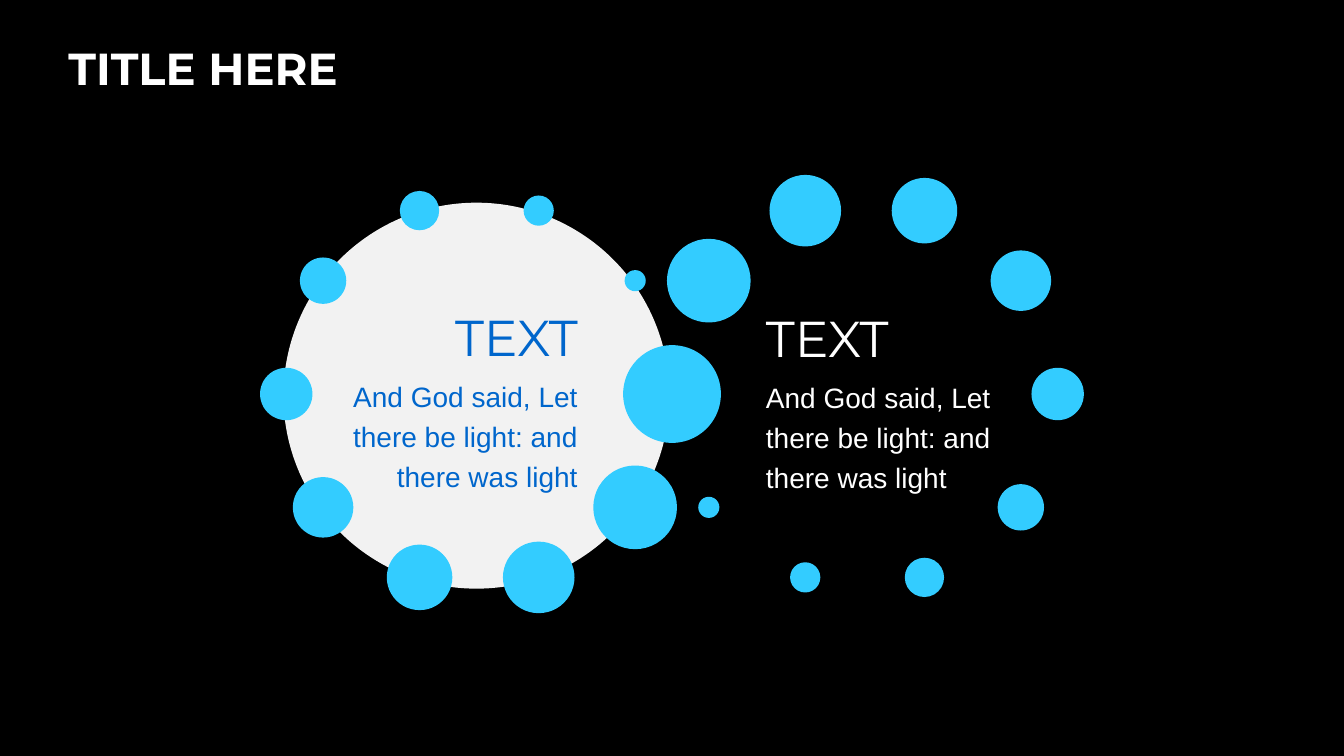
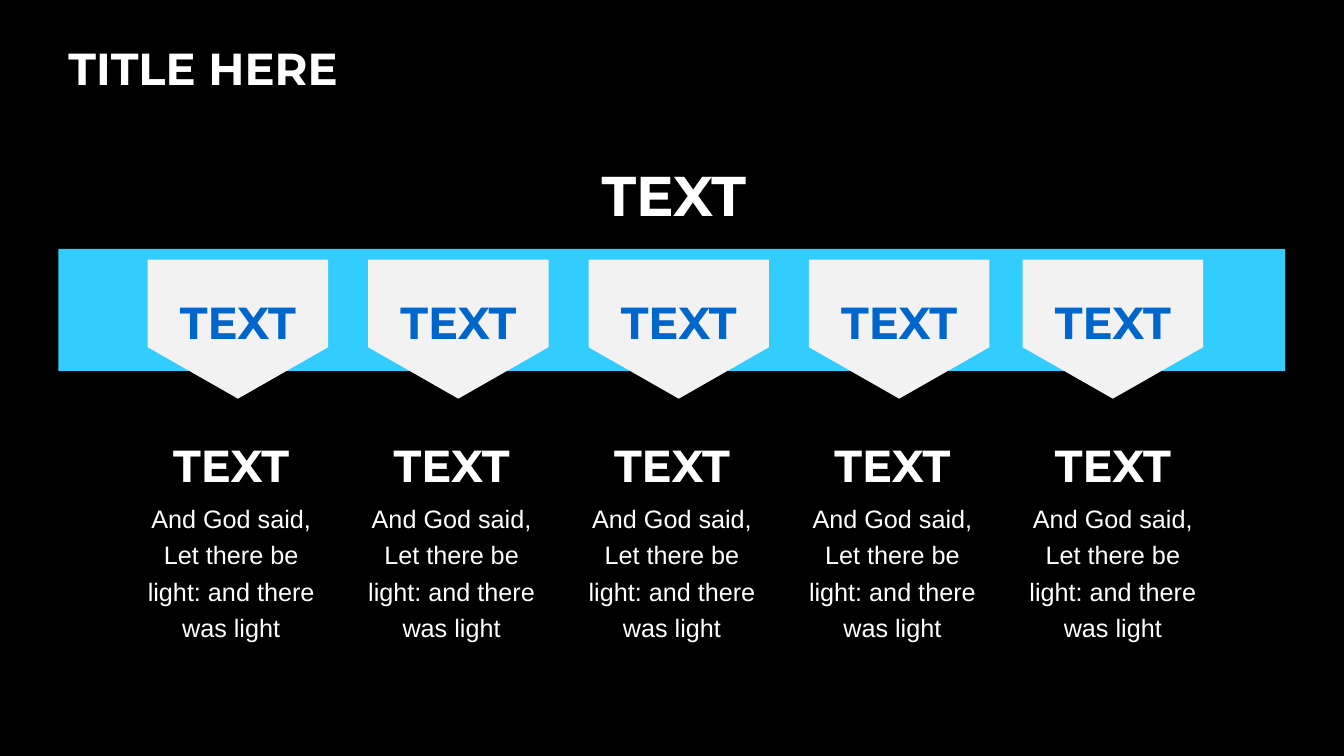
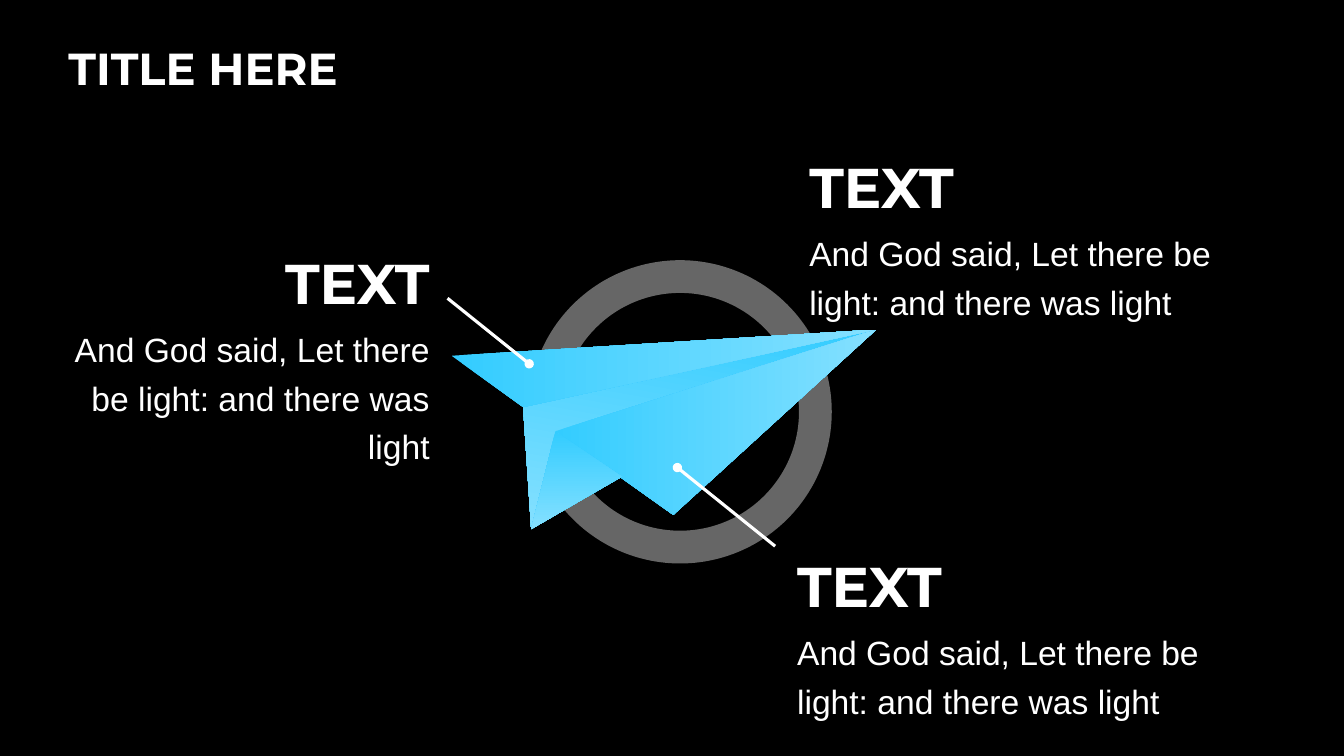
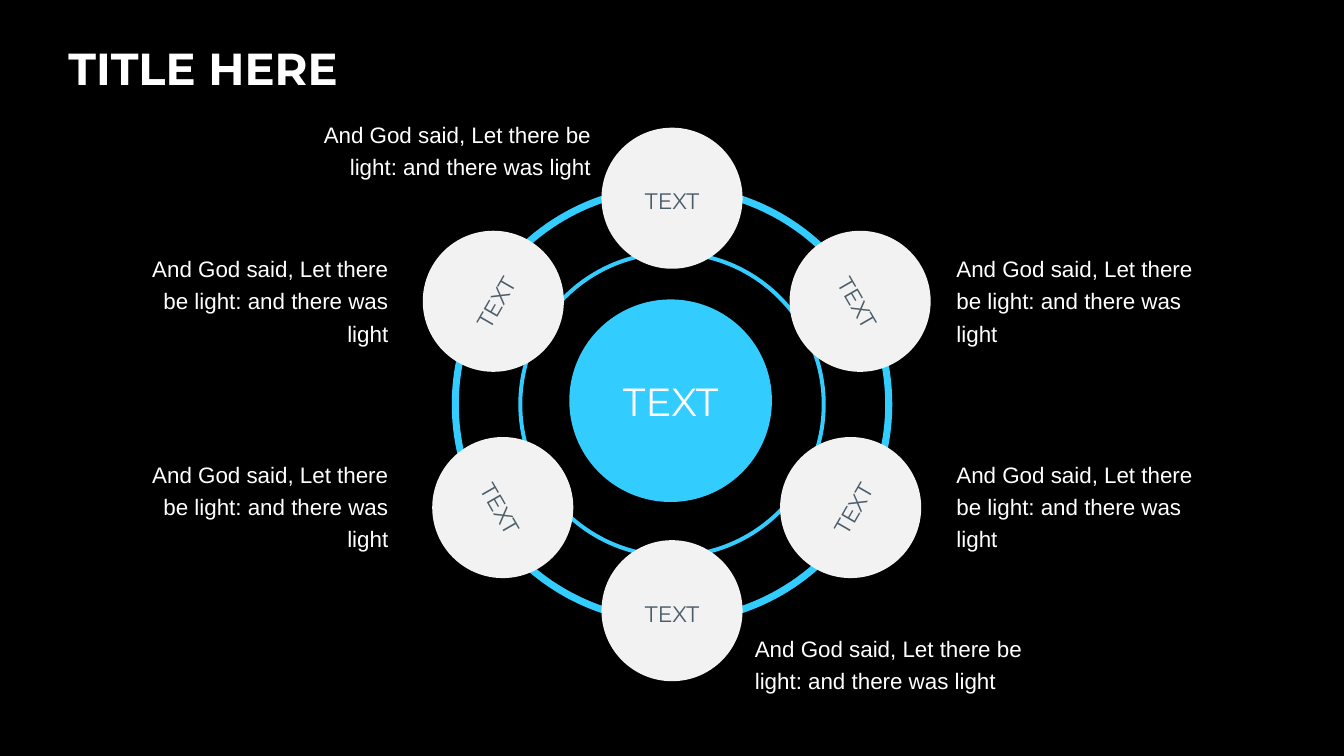
import math

import lxml.etree
import pptx
import pptx.dml.color
import pptx.enum.shapes
import pptx.enum.text
import pptx.oxml.ns
import pptx.util

SHAPE = pptx.enum.shapes.MSO_SHAPE
ALIGN = pptx.enum.text.PP_ALIGN
ANCHOR = pptx.enum.text.MSO_ANCHOR
AUTO_SIZE = pptx.enum.text.MSO_AUTO_SIZE

SLIDE_WIDTH = pptx.util.Inches(13.33)
SLIDE_HEIGHT = pptx.util.Inches(7.5)
COLUMNS = 40
CELL = SLIDE_WIDTH / COLUMNS
MIDDLE = COLUMNS / 2

BLACK, WHITE, PALE = "000000", "FFFFFF", "F2F2F2"
SKY, LIGHT_SKY, BLUE = "33CCFF", "85E0FF", "0066CC"
GRAY, SLATE = "666666", "4A5D69"

LABEL = "TEXT"
VERSE = "And God said, Let there be light: and there was light"


def color(value):
    """Turn a hex string into a colour."""
    return pptx.dml.color.RGBColor.from_string(value)


def cells(*lengths):
    """Turn grid lengths into slide units."""
    return [round(length * CELL) for length in lengths]


def style(size, tint=WHITE, bold=False, name="Montserrat"):
    """Describe the font of one paragraph."""
    return {"size": pptx.util.Pt(size), "name": name, "bold": bold, "color": tint}


def verse_style(size, tint=WHITE):
    """Describe the font of running text."""
    return style(size, tint, name="Arial")


def set_all(target, values):
    """Set every attribute listed in a dict."""
    for name, value in values.items():
        setattr(target, name, value)


def write(text_frame, lines, alignment=ALIGN.LEFT, spacing=1.2, **frame_format):
    """Fill a text frame with (text, style) paragraphs."""
    set_all(text_frame, {"word_wrap": True, **frame_format})
    for index, (text, font_format) in enumerate(lines):
        paragraph = text_frame.add_paragraph() if index else text_frame.paragraphs[0]
        set_all(paragraph, {
            "text": text,
            "alignment": alignment,
            "line_spacing": spacing,
            "space_before": pptx.util.Pt(2 if index else 0),
            "space_after": pptx.util.Pt(2),
        })
        font_values = dict(font_format)
        paragraph.font.color.rgb = color(font_values.pop("color"))
        set_all(paragraph.font, font_values)


def add_text(slide, box, lines, alignment=ALIGN.LEFT, **frame_format):
    """Add a text box that grows with its text."""
    text_box = slide.shapes.add_textbox(*cells(*box))
    frame_format = {"auto_size": AUTO_SIZE.SHAPE_TO_FIT_TEXT, **frame_format}
    write(text_box.text_frame, lines, alignment, **frame_format)


def add_shape(slide, kind, box, fill, adjustment=None, rotation=0):
    """Add a flat preset shape without outline."""
    shape = slide.shapes.add_shape(kind, *cells(*box))
    shape.shadow.inherit = False
    shape.fill.solid()
    shape.fill.fore_color.rgb = color(fill)
    shape.line.fill.background()
    shape.rotation = rotation
    if adjustment is not None:
        shape.adjustments[0] = adjustment
    return shape


def centered(x, y, width, height=None):
    """Give the box around a centre point."""
    height = width if height is None else height
    return x - width / 2, y - height / 2, width, height


def add_circle(slide, x, y, diameter, fill, rotation=0):
    """Add a filled circle around a centre point."""
    return add_shape(slide, SHAPE.OVAL, centered(x, y, diameter), fill, rotation=rotation)


def add_ring(slide, x, y, diameter, fill, thickness):
    """Add a ring around a centre point."""
    add_shape(slide, SHAPE.DONUT, centered(x, y, diameter), fill, thickness)


def add_facet(slide, corners, angle):
    """Add a polygon with a clockwise-turned sky gradient."""
    start, *others = [cells(*corner) for corner in corners]
    builder = slide.shapes.build_freeform(*start)
    builder.add_line_segments(others, close=True)
    facet = builder.convert_to_shape()
    facet.shadow.inherit = False
    facet.line.fill.background()
    facet.fill.gradient()
    facet.fill.gradient_angle = -angle % 360
    for stop, tint, position in zip(facet.fill.gradient_stops, (SKY, LIGHT_SKY), (0, 1)):
        stop.color.rgb = color(tint)
        stop.position = position


def add_pointer(slide, start, end):
    """Add a line that ends in a dot."""
    pointer = slide.shapes.add_connector(
        pptx.enum.shapes.MSO_CONNECTOR.STRAIGHT, *cells(*start, *end))
    pointer.line.color.rgb = color(WHITE)
    pointer.line.width = pptx.util.Pt(2.25)
    qualified = pptx.oxml.ns.qn
    lxml.etree.SubElement(pointer.line._get_or_add_ln(), qualified("a:tailEnd"), type="oval")
    lxml.etree.SubElement(pointer.element.spPr, qualified("a:effectLst"))


def add_slide(presentation):
    """Add a blank slide with the shared title."""
    slide = presentation.slides.add_slide(presentation.slide_layouts[6])
    add_text(slide, (1.74, 0.84, 36.54, 2.37), [("TITLE HERE", style(32, bold=True))],
             spacing=1, vertical_anchor=ANCHOR.MIDDLE, auto_size=AUTO_SIZE.NONE)
    return slide


def add_bead_loop(slide, x, y, radius, sizes, start):
    """Place beads clockwise on a loop, leaving out those of no size."""
    for index, size in enumerate(sizes):
        angle = math.radians(start + index * 360 / len(sizes))
        if size:
            add_circle(slide, x + radius * math.cos(angle), y + radius * math.sin(angle),
                       size, SKY)


def build_loops(presentation):
    """Build the slide with two bead loops that meet."""
    slide = add_slide(presentation)
    radius, y = 5.74, 11.73
    shared_bead = 5
    sizes = [1.56, 1.38, 1.17, 0.9, 0.63, 2.91, 2.49, 2.13, 1.95, 1.8]
    right_sizes = [0 if index == shared_bead else size for index, size in enumerate(sizes)]
    add_circle(slide, 14.18, 11.78, 11.49, PALE)
    add_bead_loop(slide, MIDDLE - radius, y, radius, sizes, 180)
    add_bead_loop(slide, MIDDLE + radius, y, radius, right_sizes, 0)
    for left, top, tint, alignment in ((10.02, 8.61, BLUE, ALIGN.RIGHT),
                                       (22.5, 8.64, WHITE, ALIGN.LEFT)):
        add_text(slide, (left, top, 7.47, 6.3),
                 [(LABEL, style(36, tint)), (VERSE, verse_style(20, tint))], alignment)


def build_tags(presentation):
    """Build the slide with five tags on a band."""
    slide = add_slide(presentation)
    add_shape(slide, SHAPE.RECTANGLE, (1.74, 7.41, 36.51, 3.63), SKY)
    add_text(slide, (17.28, 4.29, 5.55, 2.55), [(LABEL, style(40, bold=True))],
             ALIGN.CENTER, vertical_anchor=ANCHOR.MIDDLE, word_wrap=False)
    count, pitch, text_width = 5, 6.56, 5.76
    for column in range(count):
        x = MIDDLE + (column - (count - 1) / 2) * pitch
        tag_shift = 0.2 if column < count - 1 else 0
        tag = add_shape(slide, SHAPE.PENTAGON, centered(x + tag_shift, 9.8, 4.14, 5.37),
                        PALE, 0.37, 90)
        write(tag.text_frame, [(LABEL, style(32, BLUE, True))], ALIGN.CENTER,
              vertical_anchor=ANCHOR.MIDDLE)
        tag.element.txBody.bodyPr.set("vert", "vert270")
        add_text(slide, (x - text_width / 2, 12.57, text_width, 6.78),
                 [(LABEL, style(32, bold=True)), (VERSE, verse_style(18))], ALIGN.CENTER)


def build_plane(presentation):
    """Build the slide with a paper plane and three notes."""
    slide = add_slide(presentation)
    add_ring(slide, 20.24, 12.26, 9.03, GRAY, 0.108)
    nose, left_wing, right_wing = (26.08, 9.81), (13.44, 10.59), (20.04, 15.33)
    left_fold, right_fold = (15.57, 12.12), (16.53, 12.84)
    keel, keel_end = (15.81, 15.75), (18.51, 14.19)
    for corners, angle in (
        ((left_fold, keel, nose), 100),
        ((right_fold, right_wing, nose), 0),
        ((left_wing, left_fold, nose), 0),
        ((keel, right_fold, keel_end), 90),
    ):
        add_facet(slide, corners, angle)
    for box, alignment in (
        ((1.74, 6.84, 11.34, 7.26), ALIGN.RIGHT),
        ((23.79, 3.99, 14.49, 5.79), ALIGN.LEFT),
        ((23.43, 15.87, 14.85, 5.79), ALIGN.LEFT),
    ):
        add_text(slide, box, [(LABEL, style(40, bold=True)), (VERSE, verse_style(24))],
                 alignment)
    add_pointer(slide, (13.32, 8.88), (15.75, 10.83))
    add_pointer(slide, (23.07, 16.26), (20.16, 13.92))


def build_hub(presentation):
    """Build the slide with six satellites around a hub."""
    slide = add_slide(presentation)
    y, orbit = 12.04, 6.14
    add_ring(slide, MIDDLE, y, 13.11, SKY, 0.016)
    add_ring(slide, MIDDLE, y, 9.15, SKY, 0.013)
    for angle in range(0, 360, 60):
        tilt = angle % 180
        rotation = tilt if tilt < 90 else tilt + 180
        shift = 0.28 if rotation == 60 else 0
        turn = math.radians(angle)
        satellite = add_circle(slide, MIDDLE + shift + orbit * math.sin(turn),
                               y - orbit * math.cos(turn), 4.2, PALE, rotation)
        write(satellite.text_frame, [(LABEL, style(16, SLATE))], ALIGN.CENTER,
              vertical_anchor=ANCHOR.MIDDLE)
    hub = add_circle(slide, 19.96, 11.93, 6.03, SKY)
    write(hub.text_frame, [(LABEL, style(28))], ALIGN.CENTER, 1,
          vertical_anchor=ANCHOR.MIDDLE)
    captions = [((7.95, 3.3, 9.93, 2.25), ALIGN.RIGHT),
                ((22.17, 18.6, 9.93, 2.25), ALIGN.LEFT)]
    for left, alignment in ((28.17, ALIGN.LEFT), (3.78, ALIGN.RIGHT)):
        captions += [((left, top, 8.07, 3.21), alignment) for top in (7.29, 13.41)]
    for box, alignment in captions:
        add_text(slide, box, [(VERSE, verse_style(16))], alignment)


def main():
    """Build and save the presentation."""
    presentation = pptx.Presentation()
    set_all(presentation, {"slide_width": SLIDE_WIDTH, "slide_height": SLIDE_HEIGHT})
    background = presentation.slide_master.background.fill
    background.solid()
    background.fore_color.rgb = color(BLACK)
    for build in (build_loops, build_tags, build_plane, build_hub):
        build(presentation)
    presentation.save("out.pptx")


if __name__ == "__main__":
    main()
